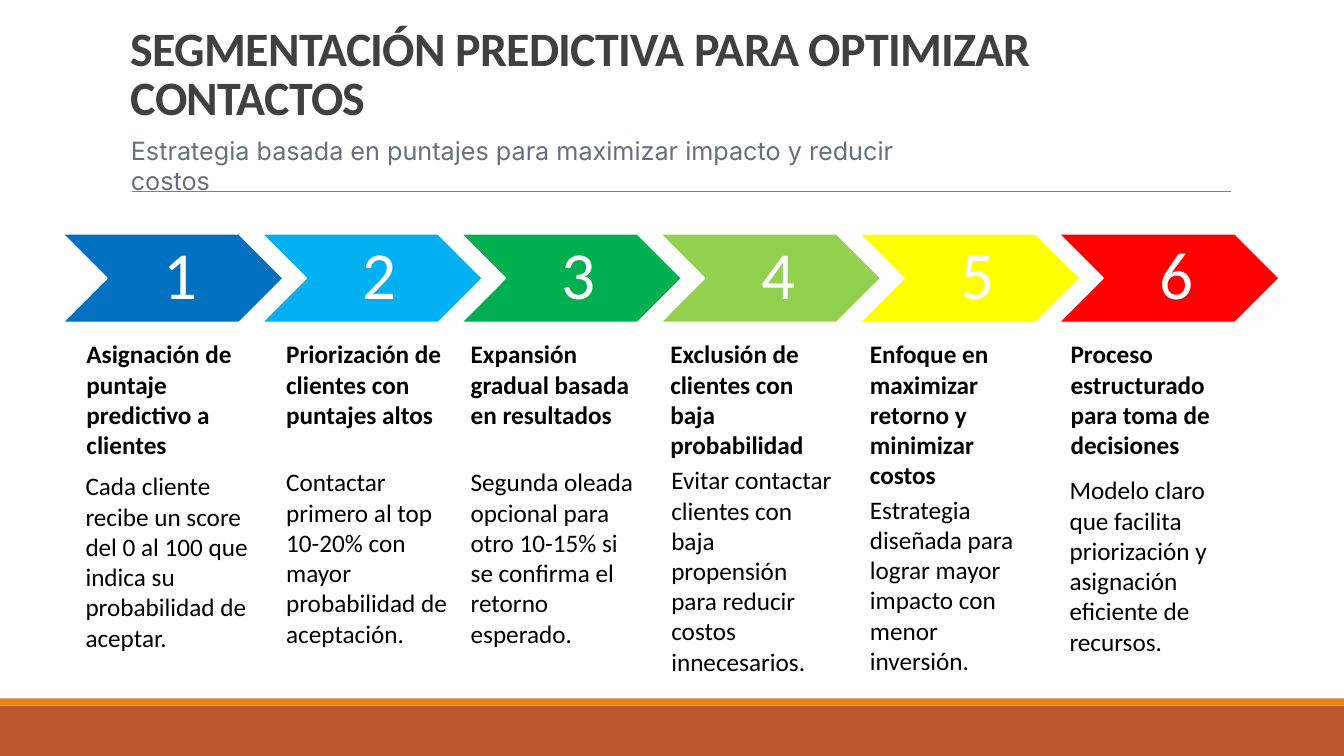
import pptx
import pptx.util
import pptx.dml.color
import pptx.enum.shapes
import pptx.enum.text
import pptx.oxml.ns
import lxml.etree

Inches = pptx.util.Inches
Pt = pptx.util.Pt
SHAPE = pptx.enum.shapes.MSO_SHAPE
ANCHOR = pptx.enum.text.MSO_ANCHOR
ALIGN = pptx.enum.text.PP_ALIGN

COLOURS = {
    "white": "FFFFFF",
    "text": "000000",
    "title": "404040",
    "subtitle": "666F82",
    "rule": "808080",
    "footer": "BD582C",
    "footer_edge": "E48312",
    "blue": "0070C0",
    "sky": "00B0F0",
    "green": "00B050",
    "lime": "92D050",
    "yellow": "FFFF00",
    "red": "FF0000",
}

CHEVRON_LEFT = 0.62
CHEVRON_STEP = 1.976
CHEVRON_TOP = 2.32
CHEVRON_HEIGHT = 0.88

# colour, heading, heading left, body, body left, body top
STEPS = [
    ("blue", "Asignación de puntaje predictivo a clientes", 0.76,
     "Cada cliente recibe un score del 0 al 100 que indica su probabilidad de aceptar.", 0.75, 4.62),
    ("sky", "Priorización de clientes con puntajes altos", 2.74,
     "Contactar primero al top 10-20% con mayor probabilidad de aceptación.", 2.74, 4.58),
    ("green", "Expansión gradual basada en resultados", 4.57,
     "Segunda oleada opcional para otro 10-15% si se confirma el retorno esperado.", 4.57, 4.58),
    ("lime", "Exclusión de clientes con baja probabilidad", 6.55,
     "Evitar contactar clientes con baja propensión para reducir costos innecesarios.", 6.56, 4.56),
    ("yellow", "Enfoque en maximizar retorno y minimizar costos", 8.53,
     "Estrategia diseñada para lograr mayor impacto con menor inversión.", 8.53, 4.85),
    ("red", "Proceso estructurado para toma de decisiones", 10.52,
     "Modelo claro que facilita priorización y asignación eficiente de recursos.", 10.51, 4.66),
]


def colour(name):
    return pptx.dml.color.RGBColor.from_string(COLOURS[name])


def add_block(page, kind, left, top, width, height, fill, outline=None):
    block = page.shapes.add_shape(kind, Inches(left), Inches(top), Inches(width), Inches(height))
    block.shadow.inherit = False
    block.fill.solid()
    block.fill.fore_color.rgb = colour(fill)
    if outline:
        block.line.color.rgb = colour(outline)
        block.line.width = Pt(1.25)
    else:
        block.line.fill.background()
    return block


def add_rule(page, left, right, top):
    rule = page.shapes.add_connector(
        pptx.enum.shapes.MSO_CONNECTOR.STRAIGHT,
        Inches(left), Inches(top), Inches(right), Inches(top))
    rule.line.color.rgb = colour("rule")
    rule.line.width = Pt(0.5)
    lxml.etree.SubElement(rule._element.spPr, pptx.oxml.ns.qn("a:effectLst"))


def add_text(page, text, left, top, width, height, size=18, ink="text", font="Calibri", bold=False):
    box = page.shapes.add_textbox(Inches(left), Inches(top), Inches(width), Inches(height))
    box.text_frame.word_wrap = True
    para = box.text_frame.paragraphs[0]
    para.text = text
    para.font.size = Pt(size)
    para.font.name = font
    para.font.bold = bold
    para.font.color.rgb = colour(ink)
    return box


def add_title(page):
    box = add_text(page, "SEGMENTACIÓN PREDICTIVA PARA OPTIMIZAR CONTACTOS",
                   1.2, 0.44, 11, 0.85, 34.2, "title", bold=True)
    box.text_frame.vertical_anchor = ANCHOR.BOTTOM
    para = box.text_frame.paragraphs[0]
    para.line_spacing = 0.85
    para.runs[0]._r.get_or_add_rPr().set("spc", "-50")


def add_number(page, number, left):
    box = add_text(page, str(number), left, CHEVRON_TOP, 1.32, CHEVRON_HEIGHT, 48, "white")
    frame = box.text_frame
    frame.vertical_anchor = ANCHOR.MIDDLE
    frame.margin_left = Inches(0.21)
    frame.margin_top = frame.margin_right = frame.margin_bottom = Inches(0.07)
    para = frame.paragraphs[0]
    para.alignment = ALIGN.CENTER
    para.line_spacing = 0.9


def add_step(page, index, step):
    fill, heading, heading_left, body, body_left, body_top = step
    left = CHEVRON_LEFT + index * CHEVRON_STEP
    add_block(page, SHAPE.CHEVRON, left, CHEVRON_TOP, 2.19, CHEVRON_HEIGHT, fill, "white")
    add_number(page, index + 1, left + 0.44)
    add_text(page, heading, heading_left, 3.31, 1.83, 1.31, bold=True)
    add_text(page, body, body_left, body_top, 1.83, 1.92)


def main():
    deck = pptx.Presentation()
    deck.slide_width = Inches(13.33)
    deck.slide_height = Inches(7.5)
    page = deck.slides.add_slide(deck.slide_layouts[6])
    add_block(page, SHAPE.RECTANGLE, 0, 7, 13.33, 0.5, "footer")
    add_block(page, SHAPE.RECTANGLE, 0, 6.93, 13.33, 0.07, "footer_edge")
    add_rule(page, 1.31, 12.21, 1.9)
    add_title(page)
    add_text(page, "Estrategia basada en puntajes para maximizar impacto y reducir costos",
             1.2, 1.29, 8.43, 0.4, 18, "subtitle", "Inter")
    for index, step in enumerate(STEPS):
        add_step(page, index, step)
    deck.save("out.pptx")


if __name__ == "__main__":
    main()
